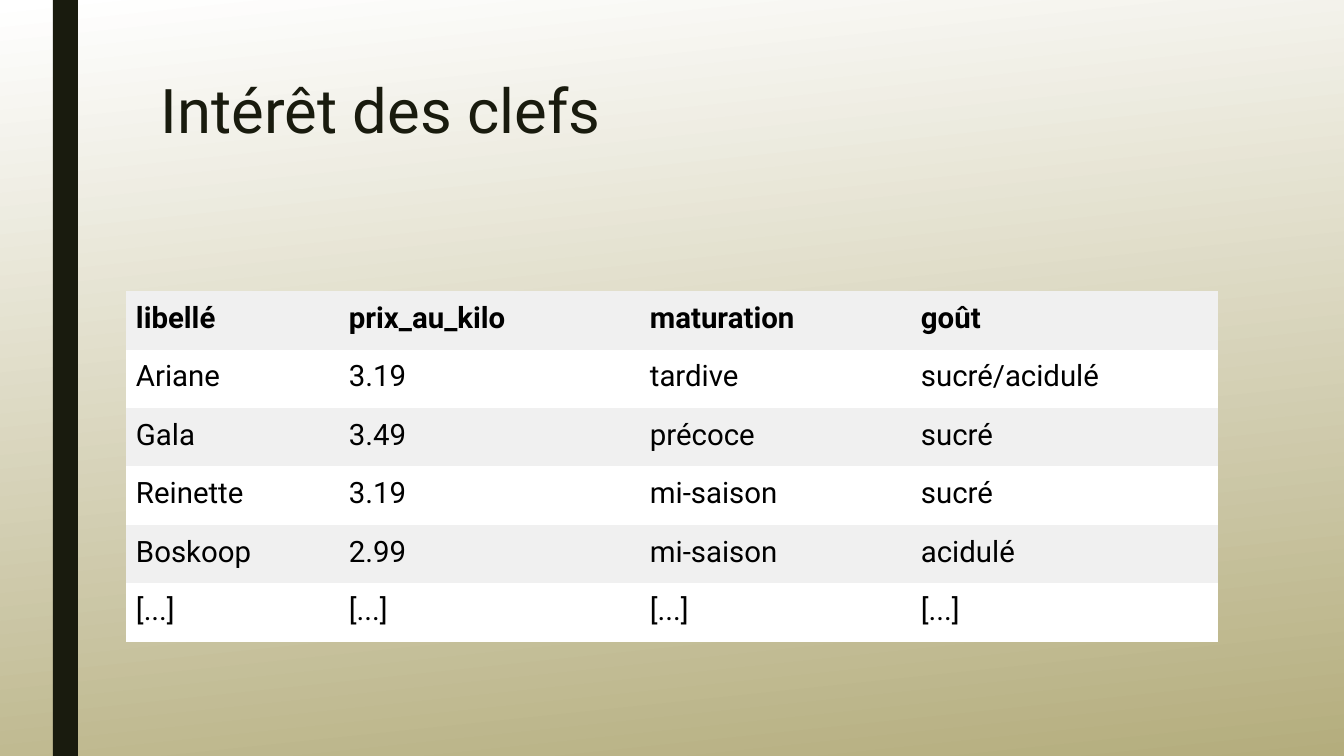
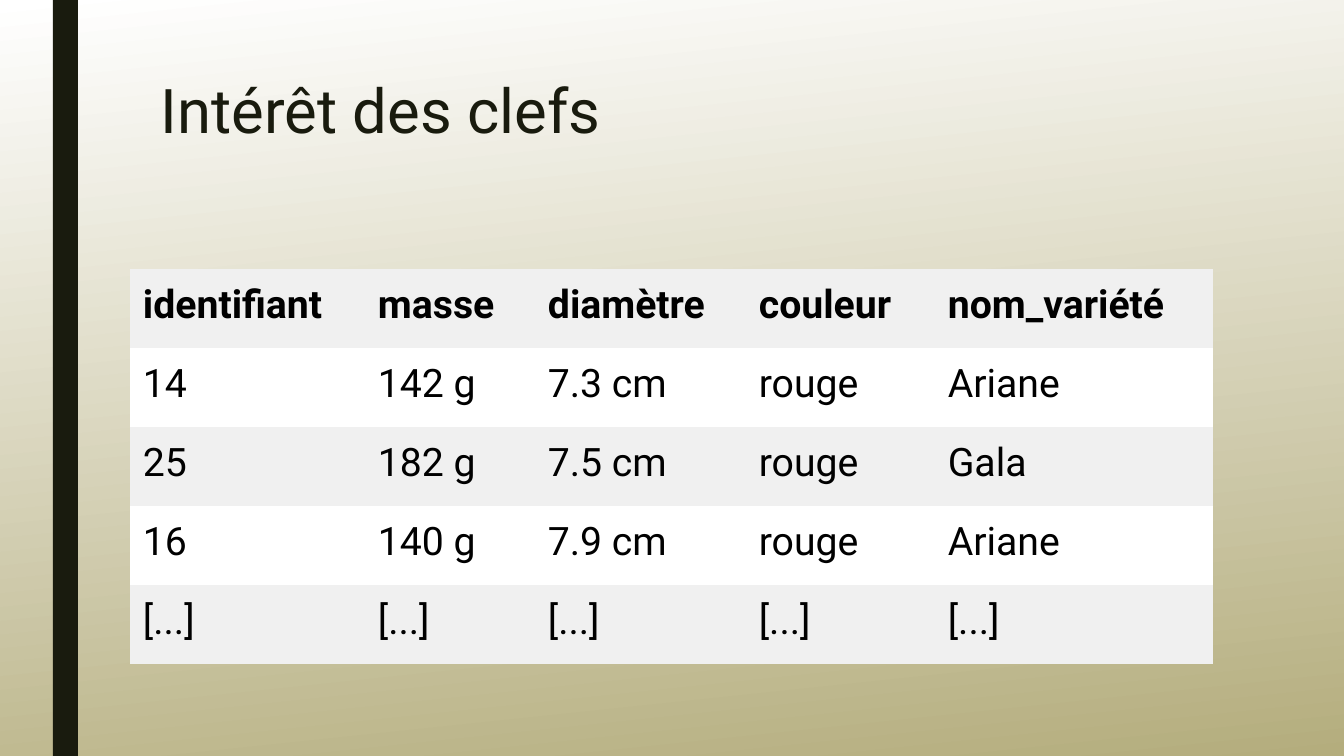
from dataclasses import dataclass
from pptx import Presentation
from pptx import util as u
from pptx.dml.color import RGBColor
from pptx.enum import shapes, text
from pptx.oxml.ns import qn


@dataclass(frozen=True)
class Theme:
    font: str = "Roboto"
    ink: str = "191B0E"
    cell_ink: str = "000000"
    page_stops: tuple = ("FFFFFF", "B4AD7D")
    page_angle: int = 276  # counter-clockwise, so 84 degrees clockwise
    row_fills: tuple = ("F0F0F0", "FFFFFF")
    title_size: int = 44
    no_grid_style: str = "{2D5ABB26-0587-4C30-8999-92F81FD0307C}"


theme = Theme()


def px(length):
    return u.Emu(round(length * 914400 / 100.8))


def write(frame, words, size, color, bold=False, line_spacing=None, inset=(10, 5)):
    frame.word_wrap = True
    frame.margin_left = frame.margin_right = px(inset[0])
    frame.margin_top = frame.margin_bottom = px(inset[1])
    para = frame.paragraphs[0]
    para.line_spacing = line_spacing
    span = para.add_run()
    span.text = words
    span.font.name = theme.font
    span.font.size = u.Pt(size)
    span.font.bold = bold
    span.font.color.rgb = RGBColor.from_string(color)


# Content: one table a slide, all under the same title
title = "Intérêt des clefs"
more = "[...]"
tables = [
    dict(
        left=126, top=291, height=351, columns=(213, 301, 271, 307),
        size=21, inset=10,
        rows=[
            ("libellé", "prix_au_kilo", "maturation", "goût"),
            ("Ariane", "3.19", "tardive", "sucré/acidulé"),
            ("Gala", "3.49", "précoce", "sucré"),
            ("Reinette", "3.19", "mi-saison", "sucré"),
            ("Boskoop", "2.99", "mi-saison", "acidulé"),
            (more,) * 4,
        ],
    ),
    dict(
        left=130, top=269, height=395, columns=(235, 170, 211, 189, 278),
        size=28, inset=13,
        rows=[
            ("identifiant", "masse", "diamètre", "couleur", "nom_variété"),
            ("14", "142 g", "7.3 cm", "rouge", "Ariane"),
            ("25", "182 g", "7.5 cm", "rouge", "Gala"),
            ("16", "140 g", "7.9 cm", "rouge", "Ariane"),
            (more,) * 5,
        ],
    ),
]

deck = Presentation()
deck.slide_width, deck.slide_height = px(1344), px(756)

for data in tables:
    page = deck.slides.add_slide(deck.slide_layouts[6])

    # Background gradient
    backdrop = page.background.fill
    backdrop.gradient()
    backdrop.gradient_angle = theme.page_angle
    for stop, color, position in zip(backdrop.gradient_stops, theme.page_stops, (0, 1)):
        stop.color.rgb = RGBColor.from_string(color)
        stop.position = position

    # Vertical band
    band = page.shapes.add_shape(
        shapes.MSO_SHAPE.RECTANGLE, px(53), px(0), px(25), px(756))
    band.shadow.inherit = False
    band.fill.solid()
    band.fill.fore_color.rgb = RGBColor.from_string(theme.ink)
    band.line.fill.background()

    # Title
    box = page.shapes.add_textbox(px(151), px(76), px(1058), px(163))
    box.text_frame.vertical_anchor = text.MSO_ANCHOR.TOP
    write(box.text_frame, title, theme.title_size, theme.ink, line_spacing=0.89)

    # Table with alternating row fills
    rows, columns = data["rows"], data["columns"]
    grid = page.shapes.add_table(
        len(rows), len(columns), px(data["left"]), px(data["top"]),
        px(sum(columns)), px(data["height"])).table
    grid.horz_banding = grid.first_row = False
    grid._tbl.tblPr.find(qn("a:tableStyleId")).text = theme.no_grid_style
    for column, width in zip(grid.columns, columns):
        column.width = px(width)
    for r, row in enumerate(rows):
        for c, words in enumerate(row):
            cell = grid.cell(r, c)
            cell.fill.solid()
            cell.fill.fore_color.rgb = RGBColor.from_string(theme.row_fills[r % 2])
            cell.margin_left = cell.margin_right = px(data["inset"])
            cell.margin_top = cell.margin_bottom = px(data["inset"])
            write(cell.text_frame, words, data["size"], theme.cell_ink,
                  bold=r == 0, inset=(data["inset"], data["inset"]))

deck.save("out.pptx")
